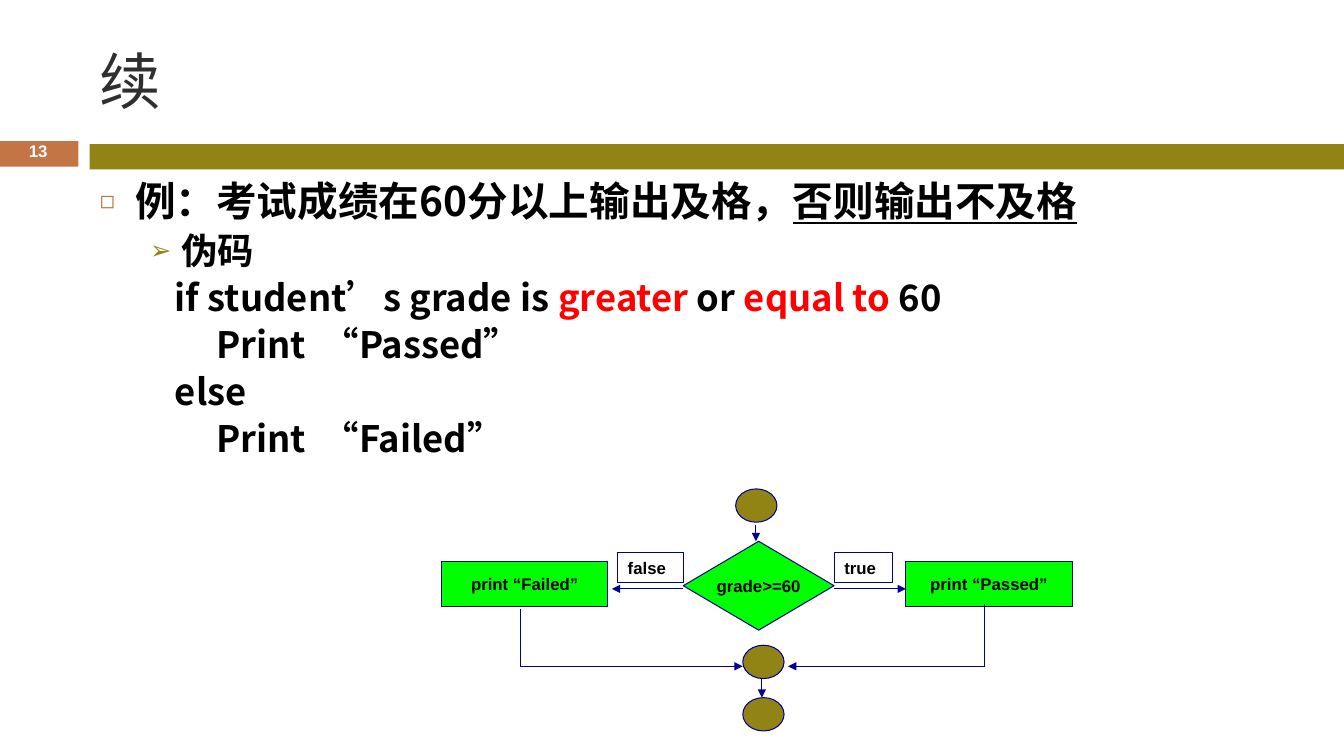
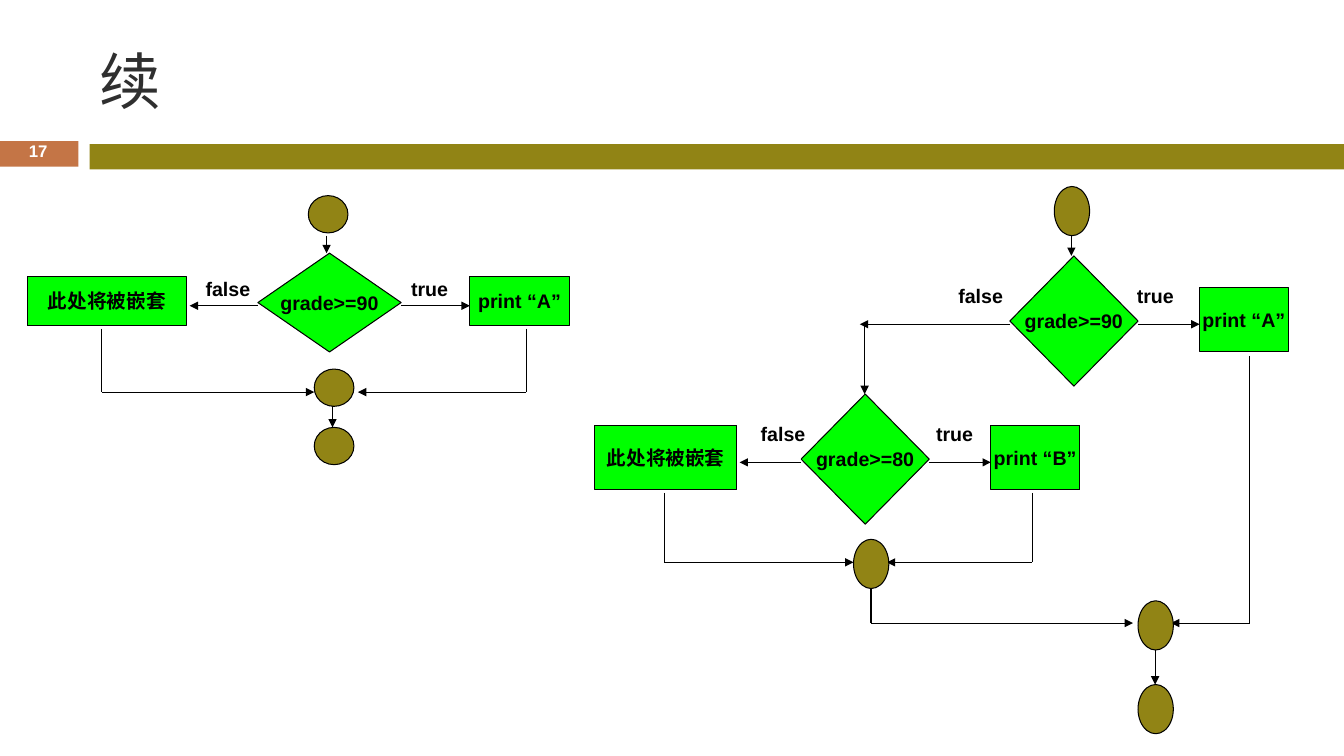
from itertools import pairwise

from lxml import etree
from pptx import Presentation
from pptx import util as u
from pptx.dml import color
from pptx.enum import shapes, text
from pptx.oxml import ns

HUES = {
    "olive": "918415", "rust": "C47546", "green": "00FF00", "navy": "000099",
    "black": "000000", "white": "FFFFFF", "gray": "2F2F2F", "red": "FF0000",
}
CJK = "Noto Sans CJK SC"
KIND = shapes.MSO_SHAPE
MID = text.MSO_ANCHOR.MIDDLE
LEFT, CENTER = text.PP_ALIGN.LEFT, text.PP_ALIGN.CENTER


def apply(item, form):
    for name, value in form.items():
        setattr(item, name, value)


def hue(name):
    return color.RGBColor.from_string(HUES[name])


def sub(node, tag, **attrs):
    return etree.SubElement(node, ns.qn(tag), attrs)


class Deck:
    """Holds the style and the current slide, and draws each kind of element."""

    def __init__(self):
        self.show = Presentation()
        apply(self.show, {"slide_width": u.Cm(33.87), "slide_height": u.Cm(19.05)})

    def page(self, layout, number, title):
        self.slide = self.show.slides.add_slide(self.show.slide_layouts[layout])
        self.shape(KIND.RECTANGLE, (0, 3.56, 1.98, 0.64), "rust")
        self.shape(KIND.RECTANGLE, (2.26, 3.63, 31.61, 0.64), "olive")
        head = self.slide.shapes.title
        self.place(head, (2.26, 0.64, 30.2, 2.74))
        self.letter(head, title, 44, "gray", LEFT, font="Calibri", bold=False)
        self.label(number, (0, 3.5, 1.93, 0.69), 12, "white", CENTER, 0.8)

    def place(self, item, box):
        apply(item, dict(zip(("left", "top", "width", "height"), map(u.Cm, box))))

    def run(self, para, words, size, ink, font="Arial", bold=True, line=None):
        run = para.add_run()
        run.text = words
        apply(run.font, {"name": font, "size": u.Pt(size), "bold": bold, "underline": line})
        run.font.color.rgb = hue(ink)
        sub(run.font._element, "a:ea", typeface=CJK)

    def letter(self, item, words, size, ink, align, wrap=True, gap=None, **form):
        frame = item.text_frame
        apply(frame, {"word_wrap": wrap, "vertical_anchor": MID,
                      "auto_size": text.MSO_AUTO_SIZE.NONE})
        para = frame.paragraphs[0]
        apply(para, {"alignment": align, "line_spacing": gap})
        self.run(para, words, size, ink, **form)

    def label(self, words, box, size, ink="black", align=LEFT, gap=None):
        item = self.slide.shapes.add_textbox(*map(u.Cm, box))
        self.letter(item, words, size, ink, align, gap=gap)
        return item

    def shape(self, kind, box, fill, edge=None):
        item = self.slide.shapes.add_shape(kind, *map(u.Cm, box))
        item.shadow.inherit = False
        item.fill.solid()
        item.fill.fore_color.rgb = hue(fill)
        self.edge(item.line, edge)
        return item

    def edge(self, line, ink):
        if ink:
            line.color.rgb = hue(ink)
            line.width = u.Pt(0.75)
        else:
            line.fill.background()

    def body(self, box, paras):
        item = self.slide.placeholders[1]
        self.place(item, box)
        frame = item.text_frame
        apply(frame, {"word_wrap": True, "auto_size": text.MSO_AUTO_SIZE.NONE})
        for i, (level, mark, runs) in enumerate(paras):
            para = frame.add_paragraph() if i else frame.paragraphs[0]
            size, space, left, hang, tint, scale = (
                (26, 5.5, 2.06, 0.79, "olive", "70000") if level
                else (29, 7, 0.89, 0.89, "rust", "60000"))
            apply(para, {"level": level, "line_spacing": 0.9, "alignment": LEFT,
                         "space_before": u.Pt(space if i else 0)})
            props = para._p.get_or_add_pPr()
            props.set("marL", str(u.Cm(left)))
            props.set("indent", str(-u.Cm(hang)))
            if mark:
                sub(sub(props, "a:buClr"), "a:srgbClr", val=HUES[tint])
                sub(props, "a:buSzPct", val=scale)
                sub(props, "a:buChar", char=mark)
            else:
                sub(props, "a:buNone")
            for words, ink, line in runs:
                self.run(para, words, size, ink, font=CJK, line=line)

    def style(self, **look):
        self.look = look

    def box(self, kind, words, place):
        item = self.shape(kind, place, "green", self.look["ink"])
        self.letter(item, words, self.look["size"], "black", CENTER, wrap=False)

    def nodes(self, *spots):
        for spot in spots:
            self.shape(KIND.FLOWCHART_CONNECTOR, (*spot, *self.look["node"]),
                       "olive", self.look["ink"])

    def route(self, *points):
        for start, end in pairwise(points):
            item = self.slide.shapes.add_connector(
                shapes.MSO_CONNECTOR.STRAIGHT, *map(u.Cm, start + end))
            self.edge(item.line, self.look["ink"])
            if end == points[-1]:
                sub(item.line._get_or_add_ln(), "a:tailEnd", type="triangle")
            sub(item._element.spPr, "a:effectLst")

    def branch(self, test, spot, yes, no, stop, tags):
        look = self.look
        (x, y), (wide, high) = spot, look["test"]
        mid = y + high / 2
        self.box(KIND.FLOWCHART_DECISION, test, (x, y, wide, high))
        for words, left, width in filter(None, (yes, no)):
            self.box(KIND.FLOWCHART_PROCESS, words,
                     (left, mid - 0.04 - look["tall"] / 2, width, look["tall"]))
        flow = mid + 0.08
        self.route((x + wide, flow), (yes[1], flow))
        self.route((x, flow), (stop, flow))
        for words, left, width in zip(("false", "true"), tags, look["tag"]):
            item = self.label(words, (left, mid - look["lift"], width, look["line"]),
                              look["size"])
            if look["frame"]:
                self.edge(item.line, look["ink"])


def main():
    deck = Deck()
    deck.page(1, "13", "续")
    deck.body((2.26, 4.45, 30.2, 12.5), [
        (0, "◻", [("例：考试成绩在60分以上输出及格，", "black", None),
                  ("否则输出不及格", "black", True)]),
        (1, "➢", [("伪码", "black", None)]),
        (1, None, [("   if student’s grade is ", "black", None), ("greater", "red", None),
                   (" or ", "black", None), ("equal to ", "red", None),
                   ("60", "black", None)]),
        (1, None, [("        Print  “Passed”", "black", None)]),
        (1, None, [("   else", "black", None)]),
        (1, None, [("        Print  “Failed”", "black", None)]),
    ])
    deck.style(ink="navy", size=12, test=(3.8, 2.24), node=(1.04, 0.84), tall=1.12,
               tag=(1.65, 1.47), line=0.76, lift=0.84, frame=True)
    deck.branch("grade>=60", (17.22, 13.64), ("print “Passed”", 22.83, 4.19),
                ("print “Failed”", 11.13, 4.19), 15.42, (15.57, 21.03))
    deck.route((19.05, 13.23), (19.05, 13.64))
    deck.route((19.2, 16.92), (19.2, 17.58))
    deck.route((13.11, 15.34), (13.11, 16.79), (18.72, 16.79))
    deck.route((24.82, 15.21), (24.82, 16.79), (19.86, 16.79))
    deck.nodes((18.54, 12.32), (18.72, 16.26), (18.72, 17.58))

    deck.page(5, "17", "续")
    nest = "此处将被嵌套"
    base = {"ink": "black", "size": 14, "line": 0.88, "frame": False}
    deck.style(**base, test=(3.61, 2.49), node=(1, 0.94), tall=1.24,
               tag=(2.06, 1.83), lift=0.79)
    deck.branch("grade>=90", (6.5, 6.38), ("print “A”", 11.84, 2.51),
                (nest, 0.69, 4.01), 4.78, (4.93, 10.11))
    deck.route((8.23, 5.94), (8.23, 6.38))
    deck.route((8.38, 10.03), (8.38, 10.77))
    deck.route((2.57, 8.28), (2.57, 9.88), (7.92, 9.88))
    deck.route((13.26, 8.28), (13.26, 9.88), (9.02, 9.88))
    deck.nodes((7.77, 4.93), (7.92, 9.3), (7.92, 10.77))

    deck.style(**base, test=(3.23, 3.28), node=(0.89, 1.24), tall=1.63,
               tag=(1.75, 1.55), lift=1.07)
    deck.branch("grade>=90", (25.45, 6.45), ("print “A”", 30.23, 2.24),
                None, 21.67, (23.9, 28.4))
    deck.branch("grade>=80", (20.19, 9.93), ("print “B”", 24.97, 2.24),
                (nest, 14.99, 3.58), 18.64, (18.92, 23.34))
    deck.route((27, 5.87), (27, 6.45))
    deck.route((21.79, 8.18), (21.79, 9.93))
    deck.route((31.5, 8.97), (31.5, 15.7), (29.51, 15.7))
    deck.route((29.11, 16.28), (29.11, 17.25))
    deck.route((16.74, 12.42), (16.74, 14.17), (21.51, 14.17))
    deck.route((26.01, 12.42), (26.01, 14.17), (22.35, 14.17))
    deck.route((21.95, 14.73), (21.95, 15.7), (28.55, 15.7))
    deck.nodes((26.57, 4.7), (21.51, 13.59), (28.68, 15.14), (28.68, 17.25))
    deck.show.save("out.pptx")


if __name__ == "__main__":
    main()
